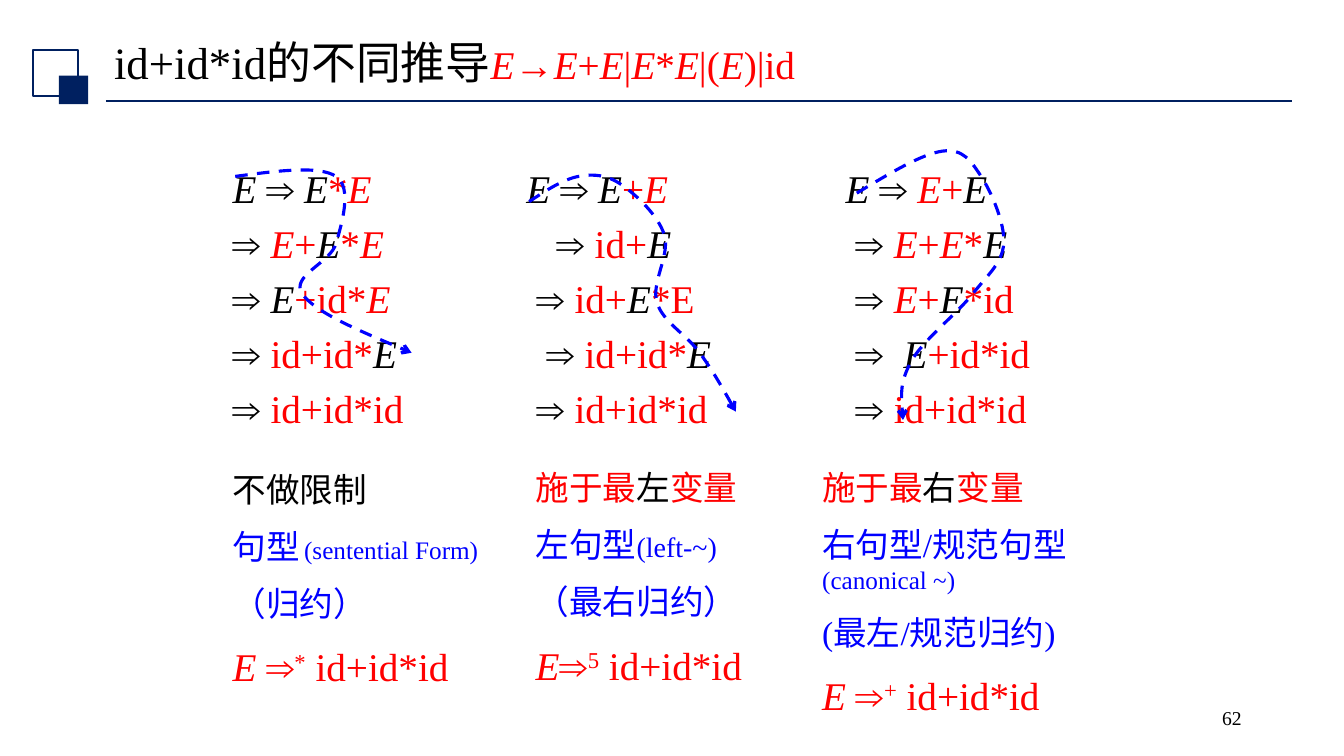
from lxml import etree
from pptx import Presentation, util as u
from pptx.dml.color import RGBColor
from pptx.enum import dml, shapes, text
from pptx.oxml import ns

UNIT = 762000  # one grid cell: the slide is 16 columns by 9 rows
SPACE = 0.12   # width of one blank at 28 pt, in cells
NAVY, BLUE = "002060", "0000FF"
INKS = {"k": "000000", "r": "FF0000", "b": BLUE}


def cell(n):
    return u.Emu(round(n * UNIT))


def color(code):
    return RGBColor.from_string(code)


def apply(obj, vals):
    for key, val in vals.items():
        setattr(obj, key, val)


def add(node, tag, **vals):
    return etree.SubElement(node, ns.qn("a:" + tag), vals)


def handles(pts):
    """Two handles and an end per curve; outer handles lie halfway to inner ones."""
    def lean(i, sign):
        return [p + sign * (b - a) / 6
                for a, p, b in zip(pts[i - 1], pts[i], pts[i + 1])]

    def mid(a, b):
        return [(m + n) / 2 for m, n in zip(a, b)]

    last = len(pts) - 2
    out = []
    for i in range(last + 1):
        one = lean(i, 1) if i else mid(pts[0], lean(1, -1))
        two = lean(i + 1, -1) if i < last else mid(one, pts[-1])
        out += [one, two, pts[i + 1]]
    return out


class Deck:
    font = "Times New Roman"

    def __init__(self):
        self.prs = Presentation()
        apply(self.prs, {"slide_width": cell(16), "slide_height": cell(9)})
        self.slide = self.prs.slides.add_slide(self.prs.slide_layouts[6])
        self.shapes = self.slide.shapes

    def stroke(self, line, code, width):
        line.color.rgb = color(code)
        line.width = u.Pt(width)

    def rule(self, x, y, end):
        line = self.shapes.add_connector(
            shapes.MSO_CONNECTOR.STRAIGHT, cell(x), cell(y), cell(end), cell(y))
        self.stroke(line.line, NAVY, 1.25)
        add(line._element.spPr, "effectLst")

    def square(self, group, spot, solid):
        box = group.shapes.add_shape(shapes.MSO_SHAPE.RECTANGLE, *map(cell, spot))
        box.shadow.inherit = False
        if solid:
            box.fill.solid()
            box.fill.fore_color.rgb = color(NAVY)
            box.line.fill.background()
        else:
            box.fill.background()
            self.stroke(box.line, NAVY, 1.5)

    def badge(self):
        group = self.shapes.add_group_shape()
        self.square(group, (0.39, 0.6, 0.54, 0.54), False)
        self.square(group, (0.7, 0.9, 0.35, 0.34), True)

    def runs(self, par, line, size):
        """Tags hold ink (k r b), i italic, ^ raised, w wide, and a new size."""
        for part in line.split("<")[1:]:
            tag, _, words = part.partition(">")
            digits = "".join(c for c in tag if c.isdigit())
            size = int(digits or size)
            run = par.add_run()
            run.text = words
            apply(run.font, {"name": self.font, "size": u.Pt(size), "italic": "i" in tag})
            run.font.color.rgb = color(INKS[tag[0]])
            for flag, key, val in (("^", "baseline", "30000"), ("w", "spc", "700")):
                if flag in tag:
                    run.font._element.set(key, val)

    def text(self, spot, lines, size, gap=0, indent=0, pads=(), fmt=None, **frame):
        box = self.shapes.add_textbox(*map(cell, spot)).text_frame
        apply(box, {"word_wrap": True, **frame})
        for i, line in enumerate(lines):
            par = box.add_paragraph() if i else box.paragraphs[0]
            apply(par, fmt or {})
            prop = par._p.get_or_add_pPr()
            if indent:
                pad = pads[i] if pads else 0
                prop.set("marL", str(cell(indent + pad * SPACE)))
                prop.set("indent", "0")
            if gap:
                add(add(prop, "spcBef"), "spcPct", val=str(gap * 1000))
            self.runs(par, line, size)

    def arrow(self, pts):
        first, *rest = [[cell(n) for n in p] for p in [pts[0], *handles(pts)]]
        pen = self.shapes.build_freeform(*first, scale=1.0)
        pen.add_line_segments(rest, close=False)
        curve = pen.convert_to_shape()
        legs = list(curve._element.iter(ns.qn("a:lnTo")))
        trail = legs[0].getparent()
        for i in range(0, len(legs), 3):
            bend = add(trail, "cubicBezTo")
            for leg in legs[i:i + 3]:
                bend.append(leg[0])
                trail.remove(leg)
        curve.shadow.inherit = False
        curve.fill.background()
        self.stroke(curve.line, BLUE, 2.25)
        curve.line.dash_style = dml.MSO_LINE.DASH
        add(curve.line._ln, "tailEnd", type="arrow")


STEPS = [
    ((5.9, 1.9, 3.5, 3.37), (0, 3, 1, 2, 1), [
        "<ki>E <k>⇒ <ki>E<r>+<ri>E",
        "<k>⇒ <r>id+<ki>E",
        "<k>⇒ <r>id+<ki>E<r>*E",
        "<k>⇒ <r>id+id*<ki>E",
        "<k>⇒ <r>id+id*id"]),
    ((9.7, 1.9, 3.8, 3.37), (0, 1, 1, 1, 1), [
        "<ki>E <k>⇒ <ri>E<r>+<ki>E",
        "<k>⇒ <ri>E<r>+<ri>E<r>*<ki>E",
        "<k>⇒ <ri>E<r>+<ki>E<r>*id",
        "<k>⇒<kw> <ki>E<r>+id*id",
        "<k>⇒ <r>id+id*id"]),
    ((2.4, 1.9, 3.9, 3.37), (), [
        "<ki>E <k>⇒ <ki>E<r>*<ri>E",
        "<k>⇒ <ri>E<r>+<ki>E<r>*<ri>E",
        "<k>⇒ <ki>E<r>+id*<ri>E",
        "<k>⇒ <r>id+id*<ki>E",
        "<k>⇒ <r>id+id*id"]),
]
NOTES = [
    ((2.4, 5.52, 3.8, 2.9), [
        "<k>不做限制",
        "<b>句型<b14> <b18>(sentential Form)",
        "<b24>（归约）",
        "<ri28>E <r>⇒<r^>*<r> id+id*id"]),
    ((9.42, 5.5, 4.58, 3.28), [
        "<r>施于最<k>右<r>变量",
        "<b>右句型/规范句型 <b18>(canonical ~)",
        "<b24>(最左/规范归约)",
        "<ri28>E <r>⇒<r^>+<r> id+id*id"]),
    ((6.01, 5.5, 3.79, 2.9), [
        "<r>施于最<k>左<r>变量",
        "<b>左句型<b20>(left-~)",
        "<b24>（最右归约）",
        "<ri28>E<r>⇒<r^>5<r> id+id*id"]),
]
CURVES = [
    [(2.8, 2.1), (4, 2.1), (4, 2.9), (3.6, 3.5), (4.9, 4.2)],
    [(6.3, 2.4), (6.89, 2.1), (7.4, 2.2), (7.91, 2.8), (7.82, 3.6),
     (8.33, 4.2), (8.76, 4.9)],
    [(10.2, 2.3), (11.22, 1.8), (11.68, 2.1), (11.95, 2.9), (11.58, 3.5),
     (10.85, 4.3), (10.75, 5)],
]


def main():
    deck = Deck()
    deck.rule(1.26, 1.2, 15.38)
    deck.badge()
    title = ("<k32>id+id*id的不同推导<ri28>E<r>→<ri>E<r>+<ri>E<r>|"
             "<ri>E<r>*<ri>E<r>|(<ri>E<r>)|id")
    deck.text((1.24, 0.41, 13.8, 0.73), [title], 32, fmt={"line_spacing": 0.9},
              vertical_anchor=text.MSO_ANCHOR.MIDDLE)
    deck.text((11.3, 8.34, 3.6, 0.48), ["<k>62"], 14,
              fmt={"alignment": text.PP_ALIGN.RIGHT})
    for spot, pads, lines in STEPS:
        deck.text(spot, lines, 28, gap=20, indent=0.25, pads=pads)
    for spot, lines in NOTES:
        deck.text(spot, lines, 24, gap=50, indent=0.25)
    for pts in CURVES:
        deck.arrow(pts)
    deck.prs.save("out.pptx")


if __name__ == "__main__":
    main()
